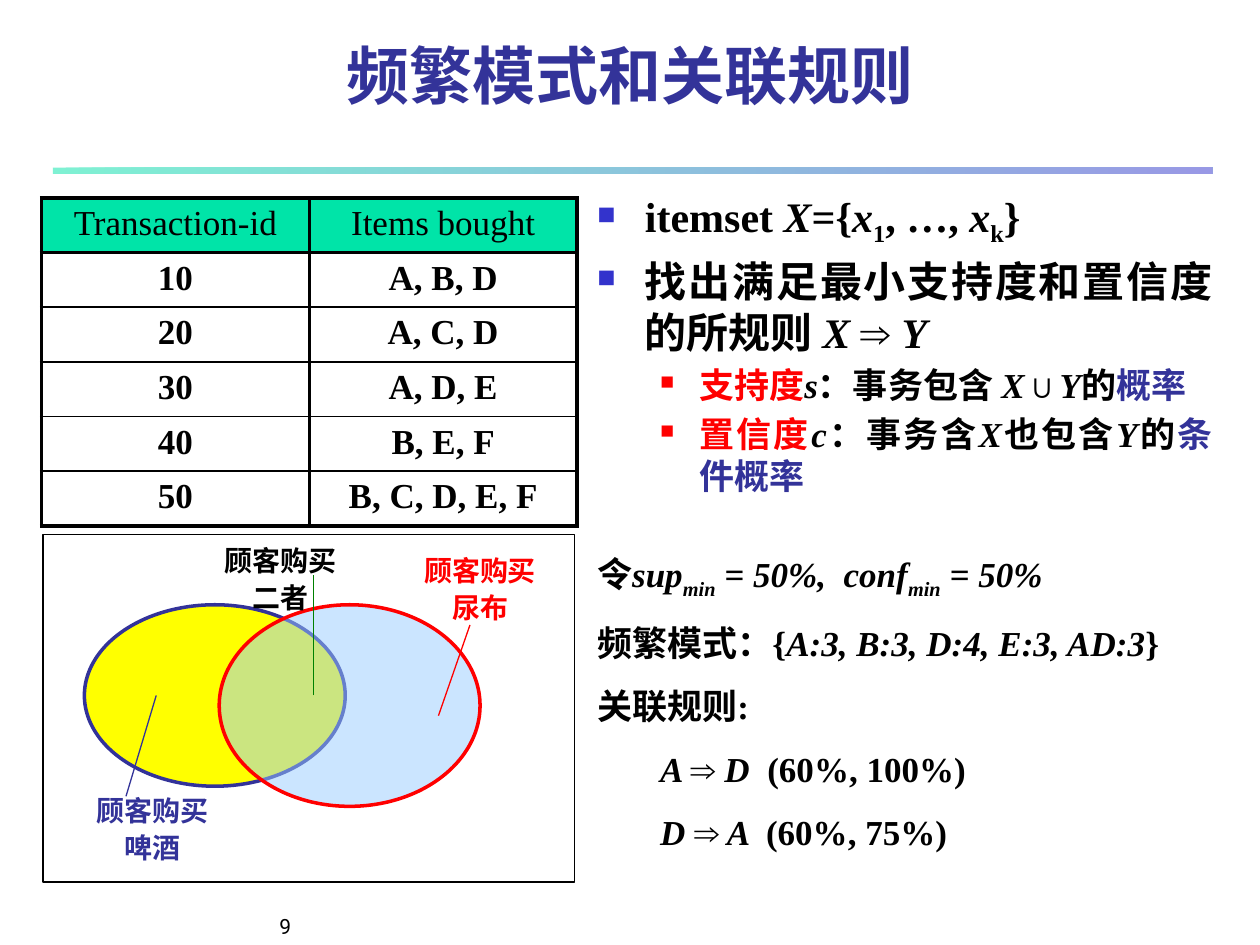
"""Build the slide on frequent patterns and association rules."""
import pptx
import pptx.chart.data
import pptx.dml.color
import pptx.enum.shapes
import pptx.enum.text
import pptx.oxml
import pptx.oxml.ns
import pptx.util
from lxml import etree

Inches, Pt = pptx.util.Inches, pptx.util.Pt
ALIGN = pptx.enum.text.PP_ALIGN
ANCHOR = pptx.enum.text.MSO_ANCHOR
SHAPE = pptx.enum.shapes.MSO_SHAPE
SERIF = "Times New Roman"
COLORS = {"black": "000000", "navy": "333399", "blue": "3333CC", "red": "FF0000",
          "mint": "00E4A8", "yellow": "FFFF00", "sky": "99CCFF", "green": "008000"}

TITLE = "频繁模式和关联规则"
ROWS = [("Transaction-id", "Items bought"), ("10", "A, B, D"), ("20", "A, C, D"),
        ("30", "A, D, E"), ("40", "B, E, F"), ("50", "B, C, D, E, F")]
DEFINITIONS = [
    (0, [("itemset ", ""), ("X", "i"), ("={", ""), ("x", "i"), ("1", "s"),
         (", …, ", ""), ("x", "i"), ("k", "s"), ("}", "")]),
    (0, [("找出满足最小支持度和置信度的所规则 ", ""), ("X", "i"), (" ⇒ ", ""), ("Y ", "i")]),
    (1, [("支持度", "r"), ("s", "i"), ("：事务包含 ", ""), ("X", "i"), ("∪", ""),
         ("Y", "i"), ("的", ""), ("概率 ", "n")]),
    (1, [("置信度", "r"), ("c", "i"), ("：事务含", ""), ("X", "i"), ("也包含", ""),
         ("Y", "i"), ("的", ""), ("条件概率", "n")]),
]
EXAMPLE = [
    (0, [("令", ""), ("sup", "i"), ("min", "is"), (" = 50%,  conf", "i"),
         ("min", "is"), (" = 50%", "i")]),
    (0, [("频繁模式：{", ""), ("A:3, B:3, D:4, E:3, AD:3", "i"), ("}", "")]),
    (0, [("关联规则:", "")]),
    (1, [("A ", "i"), ("⇒ ", ""), ("D  ", "i"), ("(60%, 100%)", "")]),
    (1, [("D ", "i"), ("⇒", ""), (" A  ", "i"), ("(60%, 75%)", "")]),
]
BULLETS = [(24, 0.38, 0.38, "blue", 60), (20, 0.81, 0.31, "red", 55)]
ELLIPSES = [((0.67, 4.8, 2.07, 1.44), "yellow", "navy", 100),
            ((1.74, 4.8, 2.07, 1.6), "sky", "red", 50)]
POINTERS = [((1.24, 5.52), (1, 6.32), "navy"), ((3.48, 5.68), (3.73, 4.96), "red"),
            ((2.49, 5.52), (2.49, 4.56), "green")]
LABELS = [((3.15, 4.32, 1.32, 0.69), ["顾客购买", "尿布"], "red"),
          ((1.66, 4.24, 1.13, 0.69), ["顾客购买二者"], "black"),
          ((0.61, 6.22, 1.2, 0.69), ["顾客购买", "啤酒"], "navy")]


def rgb(name):
    return pptx.dml.color.RGBColor.from_string(COLORS[name])


def add_child(parent, tag, **attributes):
    child = etree.SubElement(parent, pptx.oxml.ns.qn(tag))
    for key, value in attributes.items():
        child.set(key, str(value))
    return child


def set_alpha(element, percent):
    for color in element.iter(pptx.oxml.ns.qn("a:srgbClr")):
        add_child(color, "a:alpha", val=percent * 1000)


def format_span(span, size, color="black", bold=True, font=SERIF):
    span.font.size, span.font.name, span.font.bold = Pt(size), font, bold
    span.font.color.rgb = rgb(color)


def add_box(slide, place):
    box = slide.shapes.add_textbox(*map(Inches, place))
    box.text_frame.word_wrap = True
    return box


def add_spans(para, pieces, size):
    for text, style in pieces:
        span = para.add_run()
        span.text = text
        format_span(span, size, {"r": "red", "n": "navy"}.get(style, "black"))
        span.font.italic = "i" in style
        if "s" in style:
            span.font._element.set("baseline", "-25000")


def next_para(frame, index):
    return frame.add_paragraph() if index else frame.paragraphs[0]


def add_definitions(slide):
    frame = add_box(slide, (4.64, 1.46, 5.08, 3.02)).text_frame
    for index, (level, pieces) in enumerate(DEFINITIONS):
        size, margin, hang, color, share = BULLETS[level]
        para = next_para(frame, index)
        para.level, para.alignment, para.space_before = level, ALIGN.JUSTIFY, Pt(size * 0.2)
        add_spans(para, pieces, size)
        properties = para._p.get_or_add_pPr()
        properties.set("marL", str(Inches(margin)))
        properties.set("indent", str(-Inches(hang)))
        add_child(add_child(properties, "a:buClr"), "a:srgbClr", val=COLORS[color])
        add_child(properties, "a:buSzPct", val=share * 1000)
        add_child(properties, "a:buChar", char="■")


def add_example(slide):
    frame = add_box(slide, (4.64, 4.15, 5.08, 2.46)).text_frame
    for index, (level, pieces) in enumerate(EXAMPLE):
        para = next_para(frame, index)
        para.level, para.alignment, para.line_spacing = level, ALIGN.JUSTIFY, 1.5
        para._p.get_or_add_pPr().set("marL", str(Inches(0.5 * level)))
        add_spans(para, pieces, 20)


def add_transactions(slide):
    frame = slide.shapes.add_table(len(ROWS), 2, *map(Inches, (0.33, 1.57, 4.25, 2.6)))
    table = frame.table
    for row, values in enumerate(ROWS):
        for column, text in enumerate(values):
            cell = table.cell(row, column)
            cell.text = text
            para = cell.text_frame.paragraphs[0]
            para.alignment = ALIGN.CENTER
            format_span(para.runs[0], 20, bold=row > 0)
            top = 2.25 if row < 2 else 1
            bottom = 2.25 if row in (0, len(ROWS) - 1) else 1
            properties = cell._tc.get_or_add_tcPr()
            for side, width in zip("LRTB", (2.25, 2.25, top, bottom)):
                border = add_child(properties, "a:ln" + side, w=Pt(width))
                add_child(add_child(border, "a:solidFill"), "a:srgbClr", val=COLORS["black"])
            if row:
                cell.fill.background()
            else:
                cell.fill.solid()
                cell.fill.fore_color.rgb = rgb("mint")


def add_venn(slide):
    for place, fill, line, opacity in ELLIPSES:
        ellipse = slide.shapes.add_shape(SHAPE.OVAL, *map(Inches, place))
        ellipse.shadow.inherit = False
        ellipse.fill.solid()
        ellipse.fill.fore_color.rgb = rgb(fill)
        if opacity < 100:
            set_alpha(ellipse._element, opacity)
        ellipse.line.color.rgb, ellipse.line.width = rgb(line), Pt(2)
    for start, end, color in POINTERS:
        pointer = slide.shapes.add_connector(
            pptx.enum.shapes.MSO_CONNECTOR.STRAIGHT, *map(Inches, start + end))
        pointer.line.color.rgb, pointer.line.width = rgb(color), Pt(0.75)
        add_child(pointer._element.spPr, "a:effectLst")
    for place, lines, color in LABELS:
        frame = add_box(slide, place).text_frame
        frame.text = "\n".join(lines)
        for para in frame.paragraphs:
            para.alignment, para.line_spacing = ALIGN.CENTER, 1.1
            format_span(para.runs[0], 16, color)
    border = slide.shapes.add_shape(SHAPE.RECTANGLE, *map(Inches, (0.34, 4.24, 4.22, 2.76)))
    border.shadow.inherit = False
    border.fill.background()
    border.line.color.rgb, border.line.width = rgb("black"), Pt(0.75)


def add_heading(slide):
    rule = slide.shapes.add_shape(SHAPE.RECTANGLE, *map(Inches, (0.42, 1.33, 9.2, 0.05)))
    rule.shadow.inherit = False
    rule.line.fill.background()
    rule.fill.gradient()
    rule.fill.gradient_angle = 0
    for stop, color in zip(rule.fill.gradient_stops, ("mint", "blue")):
        stop.color.rgb = rgb(color)
    set_alpha(rule._element, 50)
    title = slide.shapes.title
    title.left, title.top, title.width, title.height = map(Inches, (0, 0.21, 10, 0.73))
    number = add_box(slide, (0.33, 7.08, 2.08, 0.42))
    for box, text, align, style in (
            (title, TITLE, ALIGN.CENTER, (36, "navy", True, "Cabin")),
            (number, "9", ALIGN.RIGHT, (12, "black", False, "Roboto"))):
        box.text_frame.text = text
        box.text_frame.vertical_anchor = ANCHOR.BOTTOM
        para = box.text_frame.paragraphs[0]
        para.alignment = align
        format_span(para.runs[0], *style)


def main():
    deck = pptx.Presentation()
    deck.slide_width, deck.slide_height = Inches(10), Inches(7.5)
    slide = deck.slides.add_slide(deck.slide_layouts[5])
    for build in (add_heading, add_definitions, add_venn, add_transactions, add_example):
        build(slide)
    deck.save("out.pptx")


if __name__ == "__main__":
    main()
